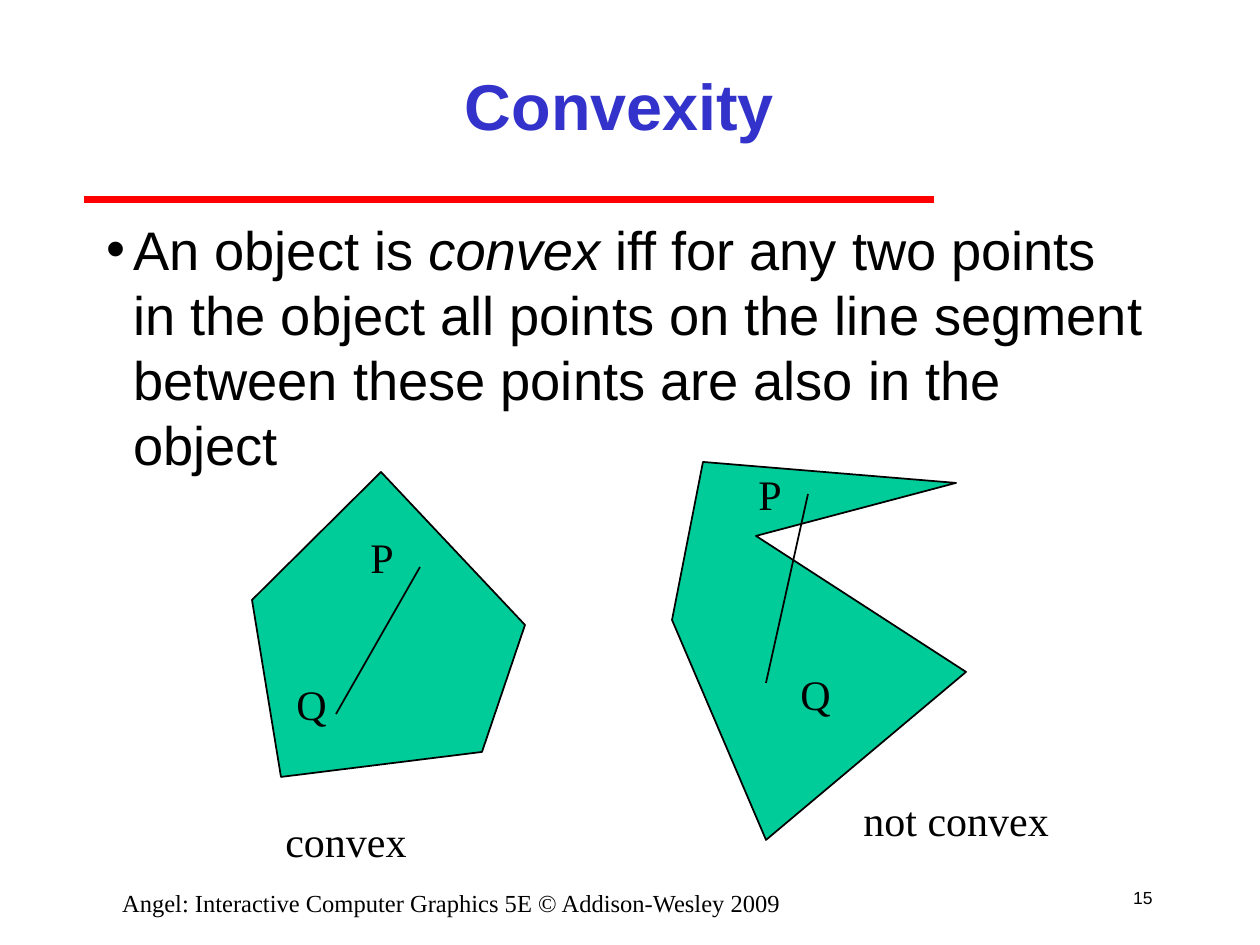
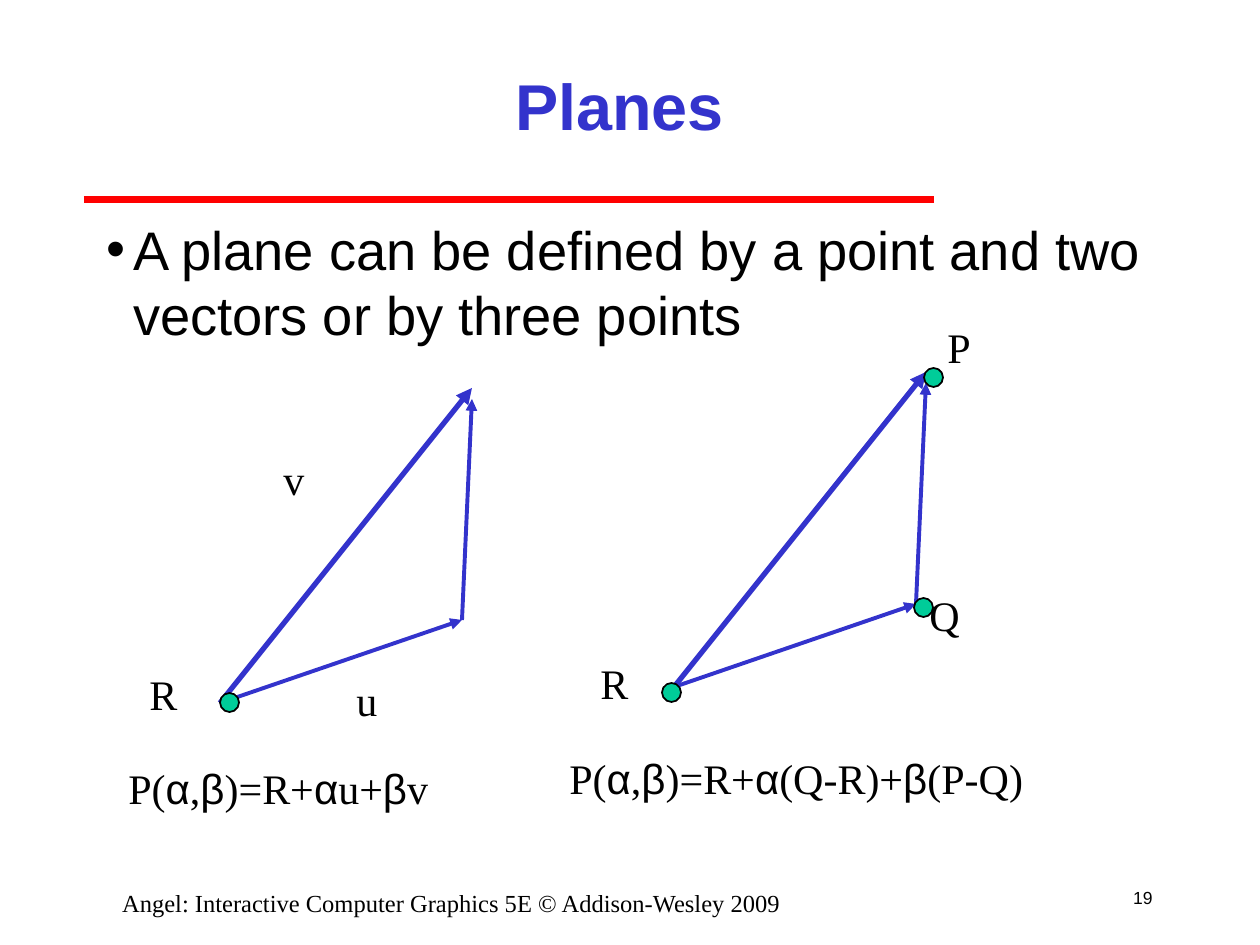
"""Build two slides on convexity and planes."""
from itertools import groupby
from lxml import etree
from pptx import Presentation
from pptx.dml.color import RGBColor
from pptx.enum.shapes import MSO_CONNECTOR, MSO_SHAPE
from pptx.enum.text import MSO_ANCHOR, MSO_AUTO_SIZE, PP_ALIGN
from pptx.oxml.ns import qn
from pptx.util import Pt

PX = 914400 / 126
LINE, OVAL = MSO_CONNECTOR.STRAIGHT, MSO_SHAPE.OVAL
TOP, MID = MSO_ANCHOR.TOP, MSO_ANCHOR.MIDDLE
LEFT, MIDDLE, RIGHT = PP_ALIGN.LEFT, PP_ALIGN.CENTER, PP_ALIGN.RIGHT
GROW = MSO_AUTO_SIZE.SHAPE_TO_FIT_TEXT
BLACK, BLUE, RED, GREEN = "000000", "3333CC", "FF0000", "00CC99"
SANS, SERIF = "Arial", "Times New Roman"
GREEK = "αβ"
DOT = 19
FOOT = "Angel: Interactive Computer Graphics 5E © Addison-Wesley 2009"

STYLES = {
    "title": dict(name=SANS, size=Pt(37), bold=True, ink=BLUE),
    "body": dict(name=SANS, size=Pt(31), ink=BLACK),
    "label": dict(name=SERIF, size=Pt(24), ink=BLACK),
    "foot": dict(name=SERIF, size=Pt(14), ink=BLACK),
    "page": dict(name=SANS, size=Pt(10), ink=BLACK),
}

TRIO = [((0, 0), (252, -315), 3), ((0, 0), (242, -83), 2.25),
        ((242, -83), (252, -304), 2.25)]

SLIDES = [
    dict(
        title="Convexity", page="15",
        body=[("An object is ", {}), ("convex", {"italic": True}),
              (" iff for any two points in the object all points on the line "
               "segment between these points are also in the object", {})],
        outlines=[
            [(252, 600), (381, 472), (525, 625), (482, 752), (281, 777)],
            [(672, 620), (703, 462), (956, 483), (756, 536), (966, 672),
             (766, 840)],
        ],
        chords=[((336, 714), (420, 567)), ((808, 494), (766, 683))],
        labels=[("P", 358, 525, 48), ("Q", 284, 672, 55), ("Q", 788, 662, 55),
                ("P", 746, 462, 48), ("convex", 273, 809, 152),
                ("not convex", 851, 788, 218)],
    ),
    dict(
        title="Planes", page="19",
        body=[("A plane can be defined by a point and two vectors or by three "
               "points", {})],
        roots=[(220, 703), (674, 687)],
        labels=[("P(α,β)=R+αu+βv", 116, 756, 326),
                ("P(α,β)=R+α(Q-R)+β(P-Q)", 557, 746, 481),
                ("u", 344, 668, 45), ("v", 271, 447, 45), ("R", 137, 662, 53),
                ("P", 935, 315, 48), ("R", 588, 651, 53), ("Q", 917, 583, 55)],
        dots=[(662, 683), (220, 693), (914, 598), (924, 368)],
    ),
]


def emu(*vals):
    return [round(v * PX) for v in vals]


def hue(code):
    return RGBColor.from_string(code)


def style(font, form):
    for key, val in form.items():
        if key == "ink":
            font.color.rgb = hue(val)
        else:
            setattr(font, key, val)


def text(slide, box, kind, runs, align=LEFT, anchor=TOP, wrap=True):
    frame = slide.shapes.add_textbox(*emu(*box)).text_frame
    frame.word_wrap, frame.vertical_anchor = wrap, anchor
    para = frame.paragraphs[0]
    para.alignment = align
    for words, extra in runs:
        run = para.add_run()
        run.text = words
        style(run.font, {**STYLES[kind], **extra})
    return frame


def bullet(para):
    pad = round(27 * PX)
    props = para._p.get_or_add_pPr()
    props.set("marL", str(pad))
    props.set("indent", str(-pad))
    ink = etree.SubElement(props, qn("a:buClr"))
    etree.SubElement(ink, qn("a:srgbClr"), val=BLACK)
    etree.SubElement(props, qn("a:buFont"), typeface=SANS)
    etree.SubElement(props, qn("a:buChar"), char="•")


def line(slide, start, end, ink=BLACK, width=1, arrow=False):
    link = slide.shapes.add_connector(LINE, *emu(*start, *end))
    link.line.color.rgb = hue(ink)
    link.line.width = Pt(width)
    props = link._element.spPr
    if arrow:
        etree.SubElement(props.find(qn("a:ln")), qn("a:tailEnd"),
                         type="triangle")
    etree.SubElement(props, qn("a:effectLst"))


def paint(shape):
    shape.shadow.inherit = False
    shape.fill.solid()
    shape.fill.fore_color.rgb = hue(GREEN)
    shape.line.color.rgb = hue(BLACK)
    shape.line.width = Pt(1)


def label(slide, words, x, y, wide):
    runs = [("".join(part), {"name": SANS if greek else SERIF})
            for greek, part in groupby(words, lambda c: c in GREEK)]
    frame = text(slide, (x, y, wide, 63), "label", runs, wrap=False)
    frame.auto_size = GROW


def base(slide, data):
    line(slide, (84, 200), (934, 200), RED, 4)
    text(slide, (1113, 872, 52, 52), "page", [(data["page"], {})],
         RIGHT, MID, False)
    text(slide, (63, 882, 777, 32), "foot", [(FOOT, {})], MIDDLE)
    text(slide, (189, 31, 861, 147), "title", [(data["title"], {})],
         MIDDLE, MID)
    body = text(slide, (94, 210, 1071, 651), "body", data["body"])
    bullet(body.paragraphs[0])


def draw(slide, data):
    base(slide, data)
    for first, *rest in data.get("outlines", []):
        pen = slide.shapes.build_freeform(*first, scale=PX)
        pen.add_line_segments(rest, close=True)
        paint(pen.convert_to_shape())
    for start, end in data.get("chords", []):
        line(slide, start, end)
    for x, y in data.get("roots", []):
        for (ax, ay), (bx, by), width in TRIO:
            line(slide, (x + ax, y + ay), (x + bx, y + by), BLUE, width, True)
    for item in data["labels"]:
        label(slide, *item)
    for spot in data.get("dots", []):
        paint(slide.shapes.add_shape(OVAL, *emu(*spot, DOT, DOT)))


def main():
    deck = Presentation()
    deck.slide_width, deck.slide_height = emu(1260, 945)
    for data in SLIDES:
        draw(deck.slides.add_slide(deck.slide_layouts[6]), data)
    deck.save("out.pptx")


if __name__ == "__main__":
    main()
